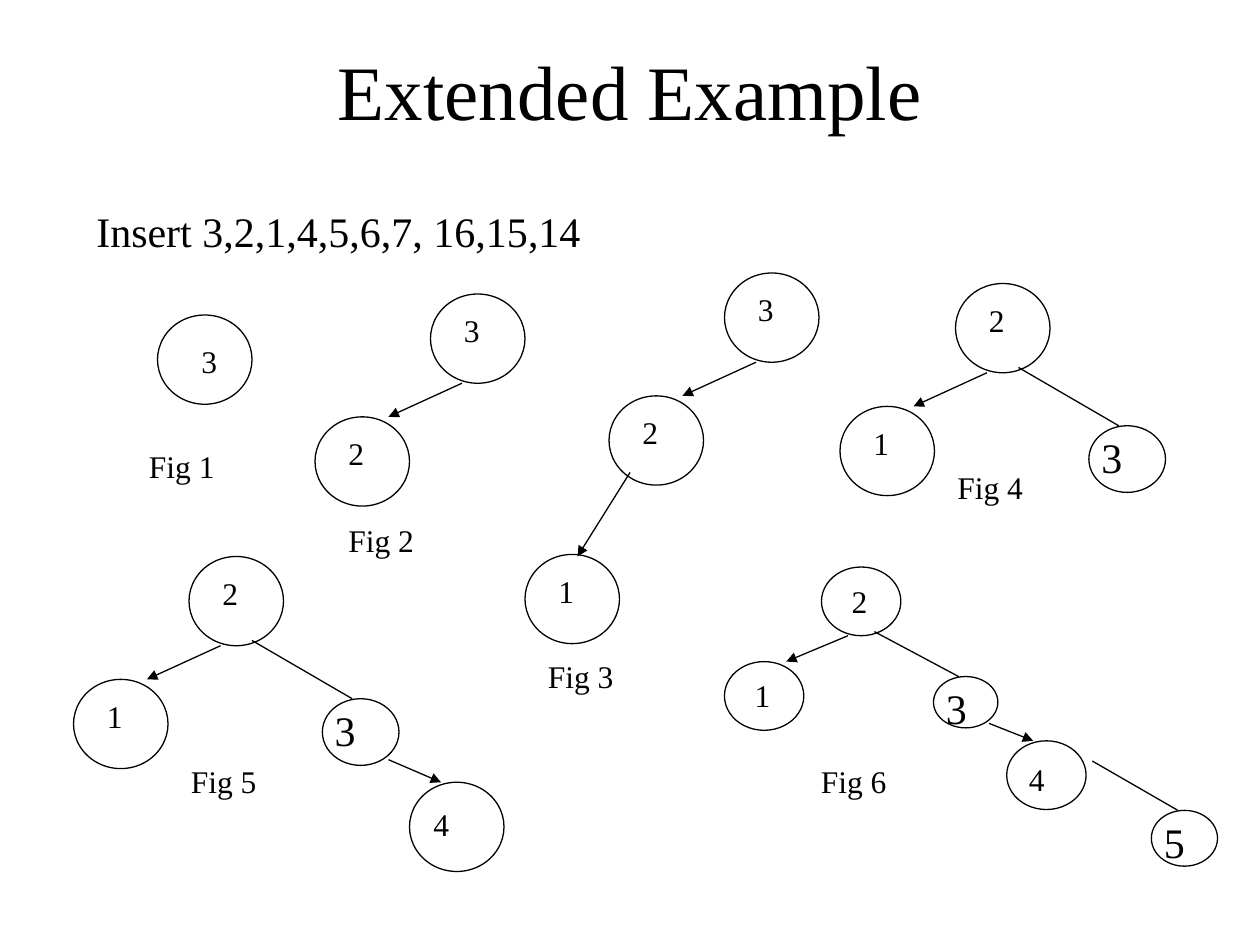
from dataclasses import dataclass
from pptx import Presentation as Deck
from pptx.dml.color import RGBColor as Color
from pptx.enum.shapes import MSO_CONNECTOR as Link, MSO_SHAPE as Shape
from pptx.enum.text import MSO_ANCHOR as Anchor, PP_ALIGN as Align
from pptx.oxml.ns import qn
from pptx.util import Inches, Pt
from lxml.etree import SubElement as Sub

COLS, ROWS = 120, 90
WIDE, HIGH = Inches(10), Inches(7.5)


@dataclass(frozen=True)
class Theme:
    ink: Color = Color(0, 0, 0)
    font: str = "Times New Roman"
    title: int = 44
    large: int = 24
    small: int = 18
    line: float = 0.75


@dataclass(frozen=True)
class Box:
    x: float
    y: float
    sx: float = 1
    sy: float = 1

    def at(self, dx, dy):
        return self.x + dx * self.sx, self.y + dy * self.sy


@dataclass(frozen=True)
class Node:
    x: float
    y: float
    w: float = 9
    h: float = 8.5
    tx: float = 2
    ty: float = 1.05
    tw: float = 16
    big: bool = False


THEME = Theme()

LEFT = Node(-11, 11.7, tw=10)
RIGHT = Node(12.7, 13.55, 7.3, 6.35, 0, 0, 7.3, True)
FOUR = Node(21, 21.5, tx=1.1, ty=1.6, tw=12)
LAST = Node(37.4, 30.1, 7.5, 6.9, 0, 0, 7.5, True)
LOW = Node(-19, 26.8)

TO_LEFT = (3, 8.5, -4, 11.7, True)
TO_RIGHT = (6, 8, 15.55, 13.55, False)
TO_FOUR = (19, 19.35, 24, 21.5, True)
TO_LAST = (30.7, 24, 40.4, 30.1, False)
TO_LOW = (-9, 19, -14, 27, True)


def px(cols):
    return round(WIDE * cols / COLS)


def py(rows):
    return round(HIGH * rows / ROWS)


def put_text(shapes, x, y, w, h, text, size, align=Align.LEFT):
    box = shapes.add_textbox(px(x), py(y), px(w), py(h))
    frame = box.text_frame
    frame.word_wrap = True
    frame.text = text
    para = frame.paragraphs[0]
    para.alignment = align
    font = para.runs[0].font
    font.name, font.size = THEME.font, Pt(size)
    font.color.rgb = THEME.ink
    return frame


def put_node(shapes, box, node, text):
    x, y = box.at(node.x, node.y)
    oval = shapes.add_shape(
        Shape.OVAL, px(x), py(y), px(node.w * box.sx), py(node.h * box.sy)
    )
    oval.shadow.inherit = False
    oval.fill.background()
    oval.line.color.rgb = THEME.ink
    oval.line.width = Pt(THEME.line)
    size, tall = (THEME.large, 6) if node.big else (THEME.small, 4.8)
    x, y = box.at(node.x + node.tx, node.y + node.ty)
    put_text(shapes, x, y, node.tw * box.sx, tall, text, size)


def put_link(shapes, box, x1, y1, x2, y2, head):
    ax, ay = box.at(x1, y1)
    bx, by = box.at(x2, y2)
    link = shapes.add_connector(Link.STRAIGHT, px(ax), py(ay), px(bx), py(by))
    link.line.color.rgb = THEME.ink
    link.line.width = Pt(THEME.line)
    if head:
        Sub(link.line._get_or_add_ln(), qn("a:tailEnd"), type="triangle")
    Sub(link._element.spPr, qn("a:effectLst"))


def put_tree(slide, box, name, spot, nodes, links):
    shapes = slide.shapes.add_group_shape().shapes
    for text, node in nodes:
        put_node(shapes, box, node, text)
    for link in links:
        put_link(shapes, box, *link)
    put_text(shapes, *spot, 15, 4.8, name, THEME.small)


def put_head(slide, x, y, w, h):
    frame = put_text(
        slide.shapes, x, y, w, h, "Extended Example", THEME.title, Align.CENTER
    )
    frame.vertical_anchor = Anchor.MIDDLE


def put_trees(slide):
    root = Node(0, 0)
    pair = [("2", root), ("1", LEFT), ("3", RIGHT)]
    fork = [TO_LEFT, TO_RIGHT]
    chain = [("3", root), ("2", LEFT)]
    four = pair + [("4", FOUR)]
    trees = [
        (Box(15, 30), (13, 42), [("3", Node(0, 0, tx=3, ty=2))], []),
        (Box(41, 28), (32, 49), chain, [TO_LEFT]),
        (Box(69, 26), (51, 62), chain + [("1", LOW)], [TO_LEFT, TO_LOW]),
        (Box(91, 27), (90, 44), pair, fork),
        (Box(18, 53), (17, 72), four, fork + [TO_FOUR]),
        (Box(78.24, 54, 0.84, 0.77), (77, 72), four + [("5", LAST)],
         fork + [TO_FOUR, TO_LAST]),
    ]
    for num, (box, spot, nodes, links) in enumerate(trees, 1):
        put_tree(slide, box, f"Fig {num}", spot, nodes, links)


def main():
    deck = Deck()
    deck.slide_width, deck.slide_height = WIDE, HIGH
    slide = deck.slides.add_slide(deck.slide_layouts[6])
    put_head(slide, 9, 1, 102, 15)
    put_text(
        slide.shapes, 8, 19, 85, 6, "Insert 3,2,1,4,5,6,7, 16,15,14", THEME.large
    )
    put_trees(slide)
    deck.save("out.pptx")


if __name__ == "__main__":
    main()
